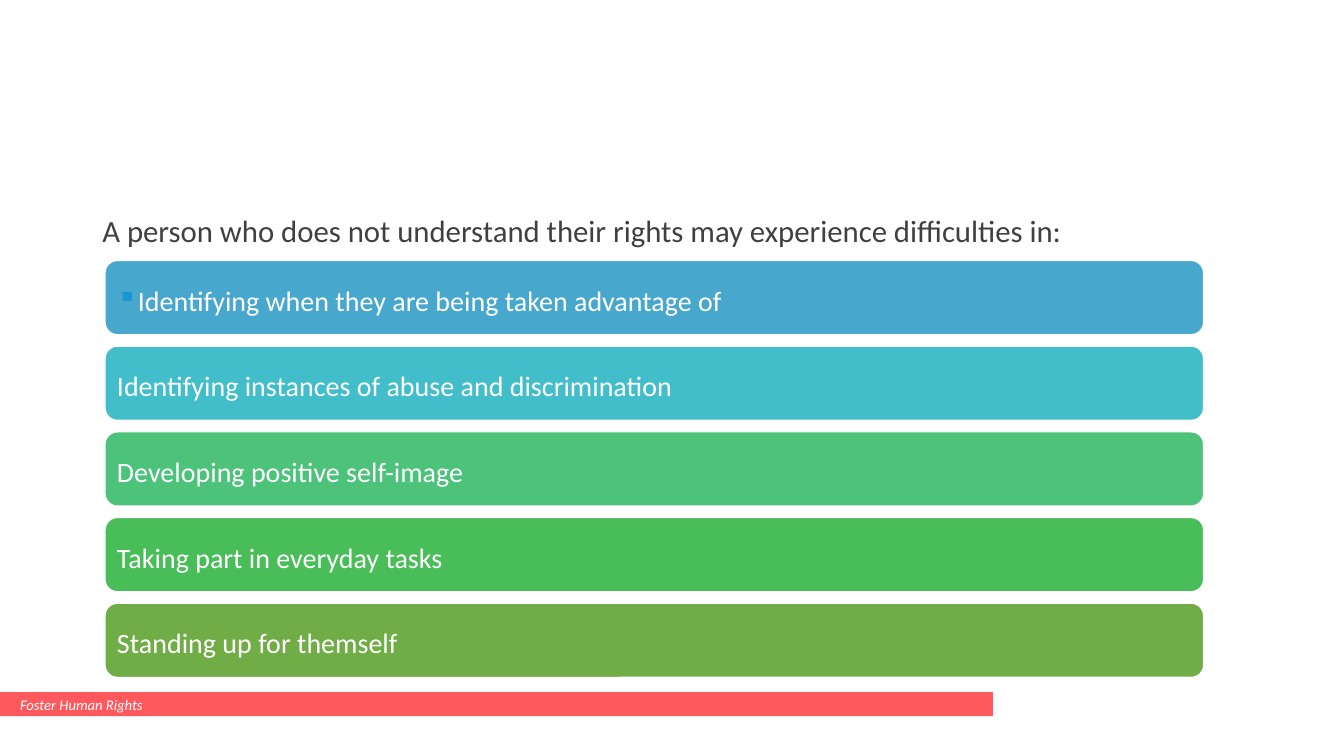
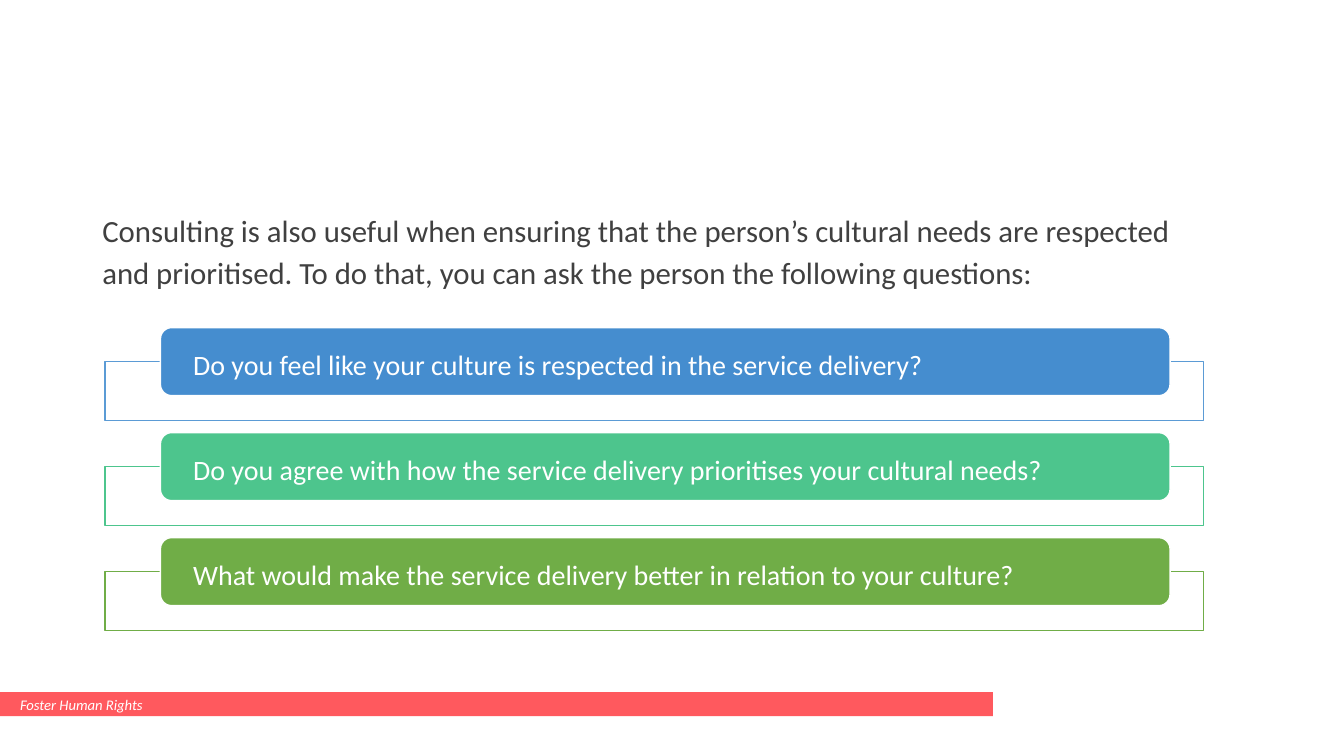
"""Builds two slides on understanding rights and respecting cultural needs."""
from dataclasses import dataclass

from lxml import etree
from pptx import Presentation
from pptx import util as u
from pptx.dml.color import RGBColor
from pptx.enum import shapes, text
from pptx.oxml.ns import qn

CELL = u.Inches(1 / 12)
COLUMNS, ROWS = 160, 90


@dataclass(frozen=True)
class Theme:
    font: str = "Calibri"
    white: str = "FFFFFF"
    ink: str = "404040"
    accent: str = "FF595E"
    bullet: str = "1C96D3"
    lead_size: float = 22
    item_size: float = 20
    footer_size: float = 10.5
    line_spacing: float = 1.14
    space_after: float = 6
    outline: float = 1


@dataclass(frozen=True)
class Area:
    column: float
    row: float
    columns: float
    rows: float

    def emu(self) -> tuple[int, ...]:
        return tuple(round(cells * CELL) for cells in
                     (self.column, self.row, self.columns, self.rows))

    def down(self, rows: float) -> "Area":
        return Area(self.column, self.row + rows, self.columns, self.rows)


@dataclass(frozen=True)
class Item:
    words: str
    fill: str
    frame: str = ""
    bullet: str = ""


THEME = Theme()
LEAD = Area(11, 24, 132.4, 57.1)
FOOTER = Area(0, 82.4, 118.2, 2.85)
BAR, BAR_STEP = Area(12.5, 31, 130.8, 8.85), 10.27 - 0.07
CARD, CARD_STEP = Area(19.1, 39, 120.2, 8.1), 12.5
FRAME = Area(BAR.column, CARD.row + CARD.rows / 2, BAR.columns, 7)

DIFFICULTIES = (
    Item("Identifying when they are being taken advantage of", "47A7CD", bullet="▪"),
    Item("Identifying instances of abuse and discrimination", "42BDCA"),
    Item("Developing positive self-image", "4CC27B"),
    Item("Taking part in everyday tasks", "48BD58"),
    Item("Standing up for themself", "70AD47"),
)
QUESTIONS = (
    Item("Do you feel like your culture is respected in the service delivery?",
         "458DCF", frame="5B9BD5"),
    Item("Do you agree with how the service delivery prioritises your cultural needs?",
         "4DC58D", frame="4DC58D"),
    Item("What would make the service delivery better in relation to your culture?",
         "70AD47", frame="70AD47"),
)


def rgb(color: str) -> RGBColor:
    return RGBColor.from_string(color)


def add_panel(page, kind, area: Area, fill: str, line: str = ""):
    panel = page.shapes.add_shape(kind, *area.emu())
    panel.shadow.inherit = False
    panel.fill.solid()
    panel.fill.fore_color.rgb = rgb(fill)
    if line:
        panel.line.color.rgb = rgb(line)
        panel.line.width = u.Pt(THEME.outline)
    else:
        panel.line.fill.background()
    return panel


def write(box, words: str, size: float, color: str, italic: bool = False):
    box.text_frame.word_wrap = True
    box.text_frame.text = words
    para = box.text_frame.paragraphs[0]
    para.alignment = text.PP_ALIGN.LEFT
    font = para.runs[0].font
    font.name, font.size, font.italic = THEME.font, u.Pt(size), italic
    font.color.rgb = rgb(color)
    return para


def space(para) -> None:
    para.line_spacing = THEME.line_spacing
    para.space_after = u.Pt(THEME.space_after)


def add_bullet(para, symbol: str) -> None:
    properties = para._p.get_or_add_pPr()
    properties.set("marL", "0")
    properties.set("indent", "0")
    tint = etree.SubElement(properties, qn("a:buClr"))
    etree.SubElement(tint, qn("a:srgbClr"), val=THEME.bullet)
    etree.SubElement(properties, qn("a:buChar"), char=symbol)


def add_item(page, area: Area, item: Item, side: float, edge: float) -> None:
    box = add_panel(page, shapes.MSO_SHAPE.ROUNDED_RECTANGLE, area, item.fill, THEME.white)
    frame = box.text_frame
    frame.vertical_anchor = text.MSO_ANCHOR.MIDDLE
    frame.margin_left = frame.margin_right = round(side * CELL)
    frame.margin_top = frame.margin_bottom = round(edge * CELL)
    para = write(box, item.words, THEME.item_size, THEME.white)
    space(para)
    if item.bullet:
        add_bullet(para, item.bullet)


def add_frame(page, area: Area, color: str) -> None:
    panel = add_panel(page, shapes.MSO_SHAPE.RECTANGLE, area, THEME.white, color)
    tint = panel._element.spPr.find(qn("a:solidFill"))[0]
    etree.SubElement(tint, qn("a:alpha"), val="90000")


def add_page(deck, lead: str):
    page = deck.slides.add_slide(deck.slide_layouts[6])
    footer = add_panel(page, shapes.MSO_SHAPE.RECTANGLE, FOOTER, THEME.accent)
    footer.text_frame.vertical_anchor = text.MSO_ANCHOR.MIDDLE
    para = write(footer, "Foster Human Rights", THEME.footer_size, THEME.white, italic=True)
    para._p.get_or_add_pPr().set("marL", str(u.Inches(0.1)))
    space(write(page.shapes.add_textbox(*LEAD.emu()), lead, THEME.lead_size, THEME.ink))
    return page


def main() -> None:
    deck = Presentation()
    deck.slide_width, deck.slide_height = COLUMNS * CELL, ROWS * CELL

    page = add_page(deck, "A person who does not understand their rights "
                          "may experience difficulties in:")
    for index, item in enumerate(DIFFICULTIES):
        add_item(page, BAR.down(index * BAR_STEP), item, side=1, edge=1)

    page = add_page(deck, "Consulting is also useful when ensuring that the person’s cultural "
                          "needs are respected and prioritised. To do that, you can ask the "
                          "person the following questions:")
    for index, item in enumerate(QUESTIONS):
        add_frame(page, FRAME.down(index * CARD_STEP), item.frame)
        add_item(page, CARD.down(index * CARD_STEP), item, side=3.5, edge=0)

    deck.save("out.pptx")


if __name__ == "__main__":
    main()
